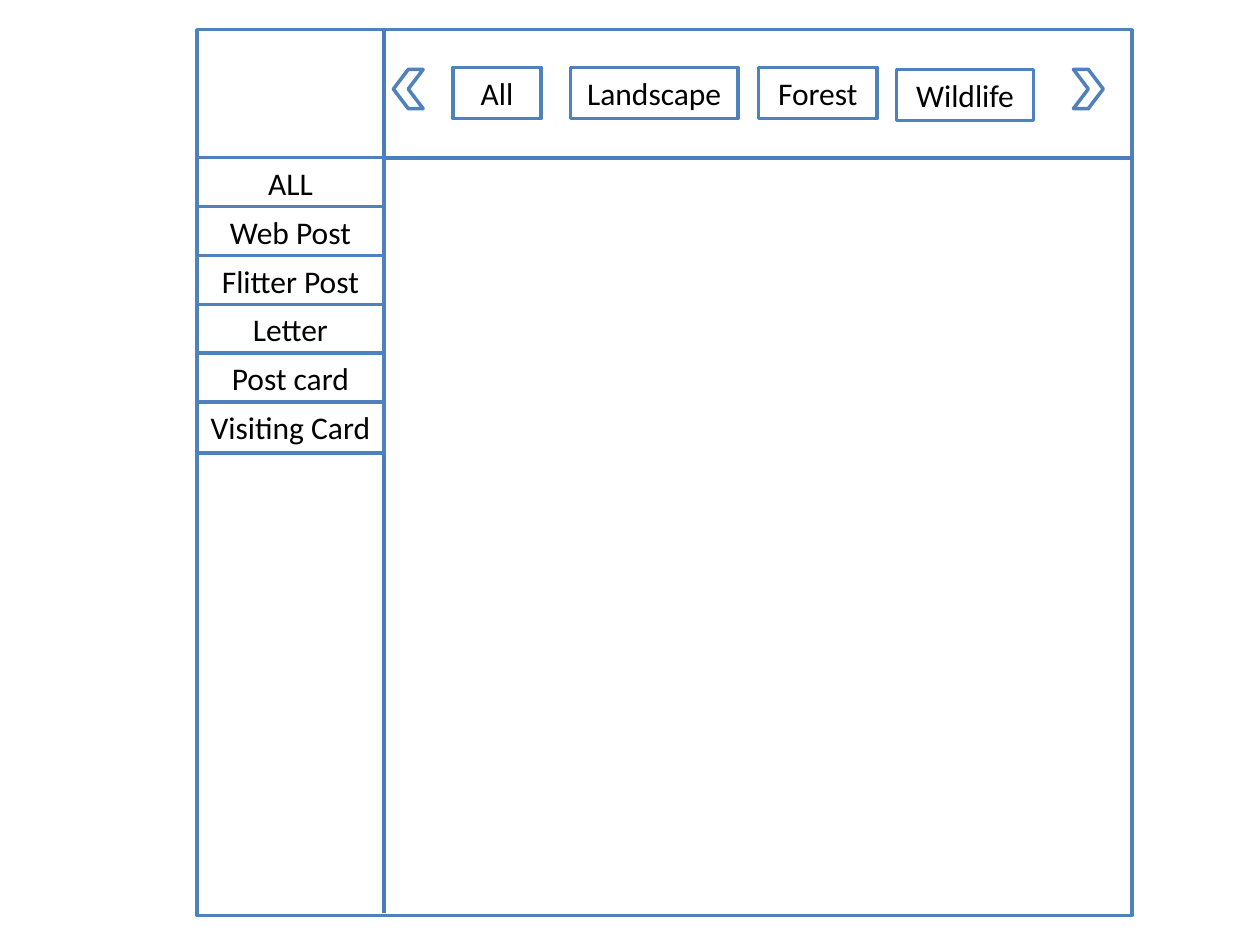
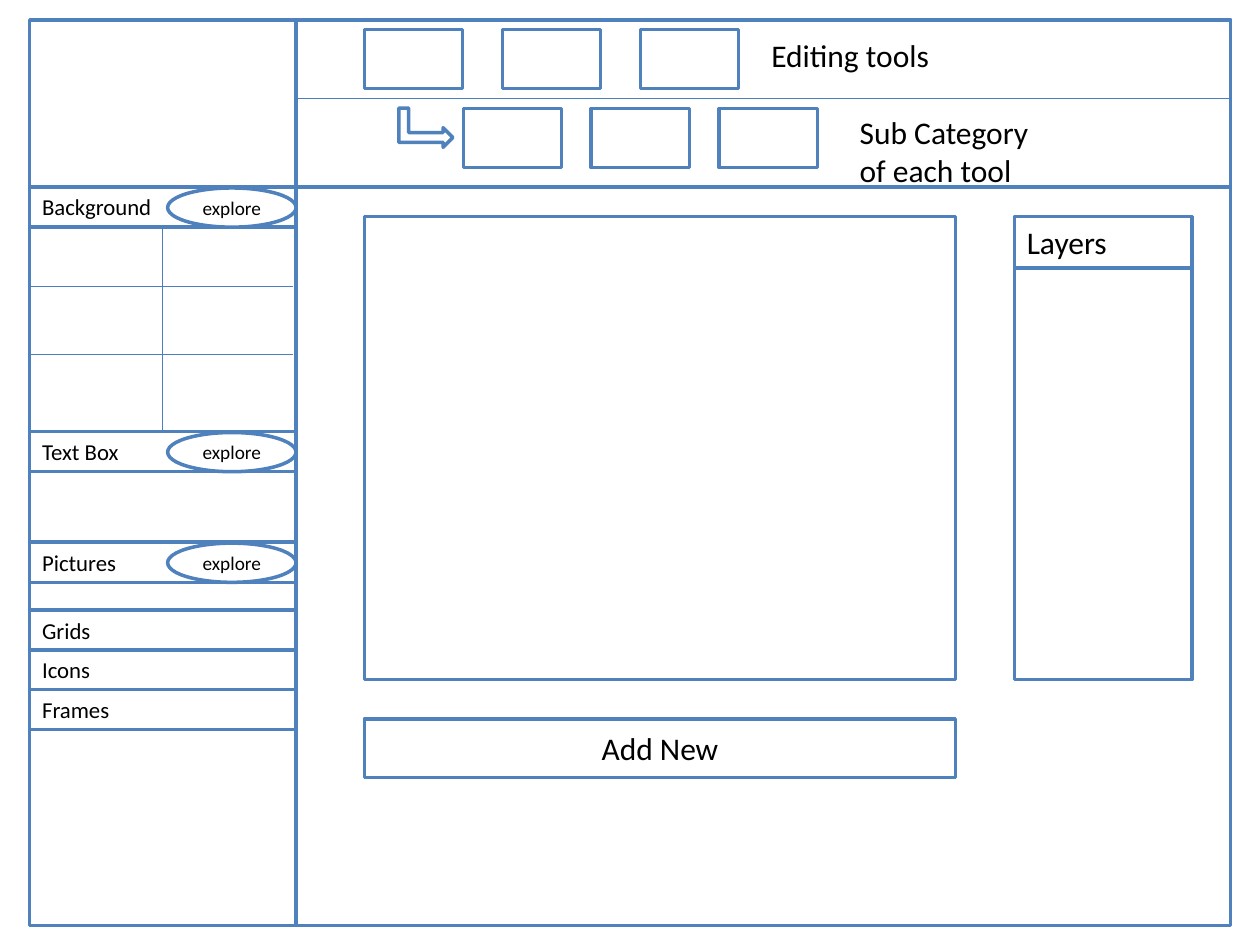
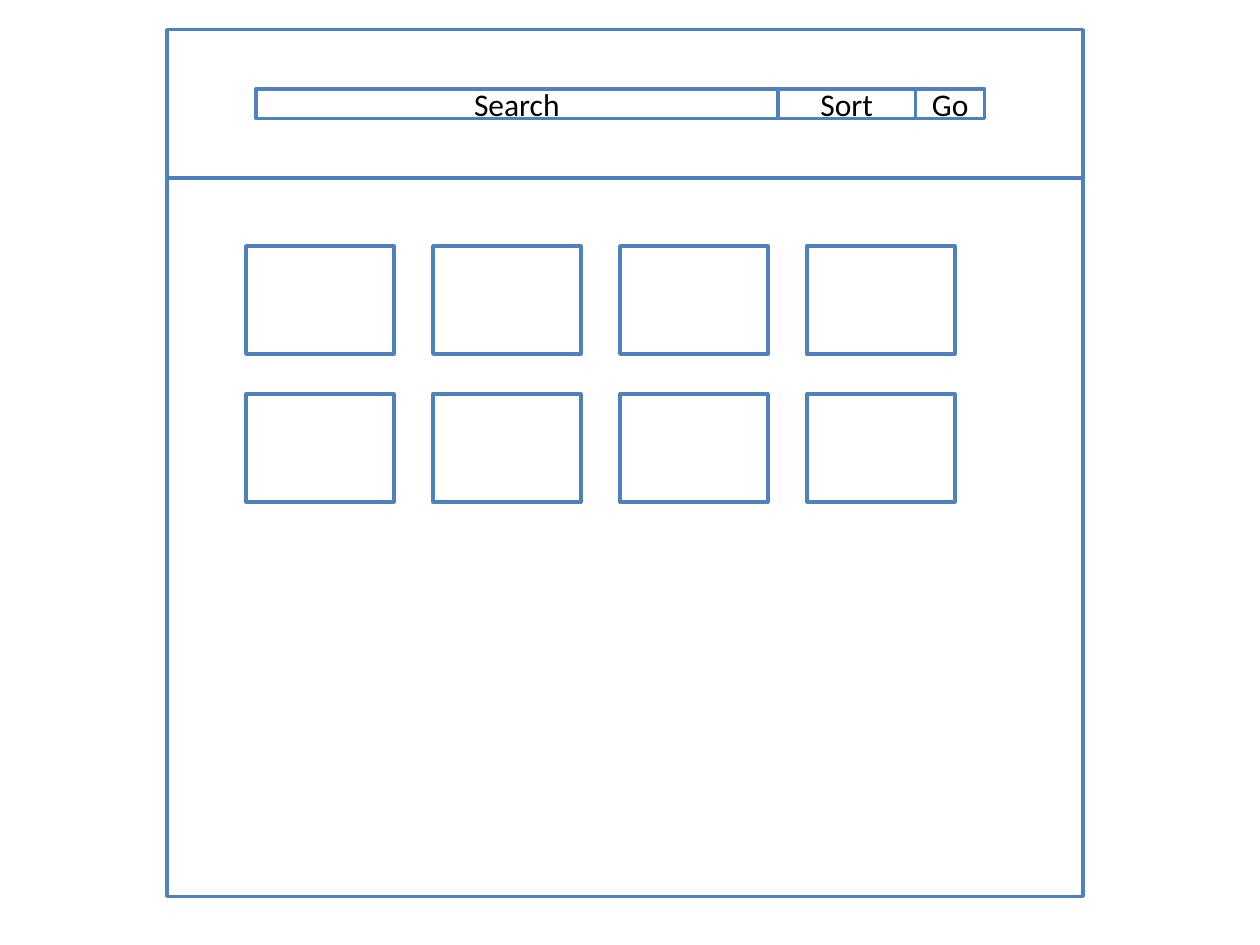
from lxml.etree import SubElement
from pptx import Presentation
from pptx.dml.color import RGBColor
from pptx.enum.shapes import MSO_CONNECTOR, MSO_SHAPE
from pptx.enum.text import MSO_ANCHOR, MSO_AUTO_SIZE, PP_ALIGN
from pptx.oxml.ns import qn
from pptx.util import Cm, Pt

BLUE, RULE, WHITE, BLACK = "4F81BD", "4B7EBC", "FFFFFF", "000000"
FONT = "Calibri"
ROW = 1.03


def color(code):
    """Turn a hex string into a colour."""
    return RGBColor.from_string(code)


def write(shape, text, size=18, align=PP_ALIGN.CENTER, fit=True):
    """Fill a shape with text; fit anchors it at the top and sizes the shape to it."""
    frame = shape.text_frame
    frame.text = text
    frame.word_wrap = True
    frame.auto_size = MSO_AUTO_SIZE.SHAPE_TO_FIT_TEXT if fit else MSO_AUTO_SIZE.NONE
    frame.vertical_anchor = MSO_ANCHOR.TOP if fit else MSO_ANCHOR.MIDDLE
    if align == PP_ALIGN.CENTER:
        frame.margin_left = frame.margin_right = Cm(0.2)
    for par in frame.paragraphs:
        par.alignment = align
        for run in par.runs:
            run.font.name, run.font.size = FONT, Pt(size)
            run.font.color.rgb = color(BLACK)


def block(slide, left, top, width, height, kind=MSO_SHAPE.RECTANGLE, turn=0):
    """Draw a white shape with a blue outline."""
    shape = slide.shapes.add_shape(kind, Cm(left), Cm(top), Cm(width), Cm(height))
    shape.shadow.inherit = False
    shape.fill.solid()
    shape.fill.fore_color.rgb = color(WHITE)
    shape.line.color.rgb = color(BLUE)
    shape.line.width = Pt(2)
    shape.rotation = turn
    return shape


def rule(slide, x1, y1, x2, y2, weight=2.25, tint=RULE):
    """Draw a straight line."""
    line = slide.shapes.add_connector(MSO_CONNECTOR.STRAIGHT, Cm(x1), Cm(y1), Cm(x2), Cm(y2))
    line.line.color.rgb = color(tint)
    line.line.width = Pt(weight)
    SubElement(line._element.spPr, qn("a:effectLst"))


def label(slide, left, top, width, height, text):
    """Place plain text without an outline."""
    box = slide.shapes.add_textbox(Cm(left), Cm(top), Cm(width), Cm(height))
    write(box, text, align=PP_ALIGN.LEFT)


def grid(slide, left, top, size, step, cols, rows=1):
    """Draw equal boxes at equal steps."""
    for row in range(rows):
        for col in range(cols):
            block(slide, left + col * step[0], top + row * step[1], *size)


def tabs(slide, left, top):
    """Draw the theme tabs between two scroll arrows."""
    for x, turn in ((13.71, 0), (0, 180)):
        block(slide, left + x, top + 0.8, 0.6, 0.79, MSO_SHAPE.CHEVRON, turn)
    for x, y, width, text in (
        (1.2, 0.76, 1.78, "All"), (3.57, 0.76, 3.38, "Landscape"),
        (7.36, 0.76, 2.39, "Forest"), (10.14, 0.8, 2.77, "Wildlife"),
    ):
        write(block(slide, left + x, top + y, width, ROW), text)


def menu(slide, left, top, width):
    """Stack the format names."""
    names = ("ALL", "Web Post", "Flitter Post", "Letter", "Post card", "Visiting Card")
    for i, name in enumerate(names):
        write(block(slide, left, top + i * 0.985, width, ROW), name)


def gallery(slide, left, top, width, height):
    """Build the page that lists formats and themes."""
    side, head = 3.77, 2.58
    block(slide, left, top, width, height)
    rule(slide, left + side, top, left + side, top + height - 0.05)
    rule(slide, left + width + 0.04, top + head, left, top + head)
    tabs(slide, left + side + 0.19, top)
    menu(slide, left, top + head, side)


def tools(slide, left, top, width):
    """Draw the two rows of tools."""
    size = (1.98, 1.19)
    rule(slide, left, top + 1.59, left + width, top + 1.59, 0.75)
    grid(slide, left + 1.39, top + 0.2, size, (2.78, 0), 3)
    grid(slide, left + 3.38, top + 1.79, size, (2.58, 0), 3)
    label(slide, left + 9.34, top + 0.2, 4.57, ROW, "Editing tools")
    label(slide, left + 11.12, top + 1.76, 4.57, 1.8, "Sub Category of each tool")
    block(slide, left + 2.23, top + 1.63, 0.79, 1.09, MSO_SHAPE.BENT_UP_ARROW, 90)


def panel(slide, left, top, width):
    """Stack the asset sections with their swatch cells."""
    mid = left + width / 2
    rule(slide, mid, top + 0.81, mid, top + 4.95, 0.75)
    for y in (2.01, 3.38):
        rule(slide, left + width - 0.05, top + y, left, top + y, 0.75)
    for y, name, more in (
        (0, "Background", True), (4.93, "Text Box", True), (7.16, "Pictures", True),
        (8.53, "Grids", False), (9.33, "Icons", False), (10.13, "Frames", False),
    ):
        write(block(slide, left, top + y, width, 0.81), name, 13, PP_ALIGN.LEFT)
        if more:
            oval = block(slide, left + 2.78, top + y + 0.02, 2.59, 0.79, MSO_SHAPE.OVAL)
            write(oval, "explore", 11, fit=False)


def desk(slide, left, top):
    """Draw the canvas, its button and the layer list."""
    page, list_x, list_w, tall = 11.91, 14.49, 3.58, 9.33
    x, y = left + 1.39, top + 0.6
    block(slide, x, y, page, tall)
    write(block(slide, x, y + tall + 0.79, page, 1.19), "Add New", fit=False)
    block(slide, left + list_x, y, list_w, tall)
    write(block(slide, left + list_x, y, list_w, ROW), "Layers", align=PP_ALIGN.LEFT)


def editor(slide, left, top, width, height):
    """Build the editing page."""
    side, head = 5.36, 3.37
    block(slide, left, top, width, height)
    rule(slide, left + side, top, left + side, top + height + 0.03, tint=BLUE)
    rule(slide, left + width, top + head, left, top + head, tint=BLUE)
    tools(slide, left + side, top, width - side)
    panel(slide, left, top + head, side)
    desk(slide, left + side, top + head)


def finder(slide, left, top):
    """Draw the search bar."""
    for text, width in (("Search", 10.52), ("Sort", 2.78), ("Go", 1.39)):
        write(block(slide, left, top, width, 0.6), text, fit=False)
        left += width


def results(slide, left, top, width, height):
    """Build the search page."""
    head = 2.98
    block(slide, left, top, width, height)
    rule(slide, left, top + head, left + width, top + head)
    finder(slide, left + 1.79, top + 1.19)
    grid(slide, left + 1.59, top + 4.36, (2.98, 2.18), (3.77, 2.98), 4, 2)


def main():
    """Build and save the deck."""
    deck = Presentation()
    deck.slide_width, deck.slide_height = Cm(25.4), Cm(19.05)
    for build, box in (
        (gallery, (3.97, 0.6, 18.85, 17.86)),
        (editor, (0.6, 0.4, 24.21, 18.26)),
        (results, (3.37, 0.6, 18.46, 17.47)),
    ):
        build(deck.slides.add_slide(deck.slide_layouts[6]), *box)
    deck.save("out.pptx")


main()
